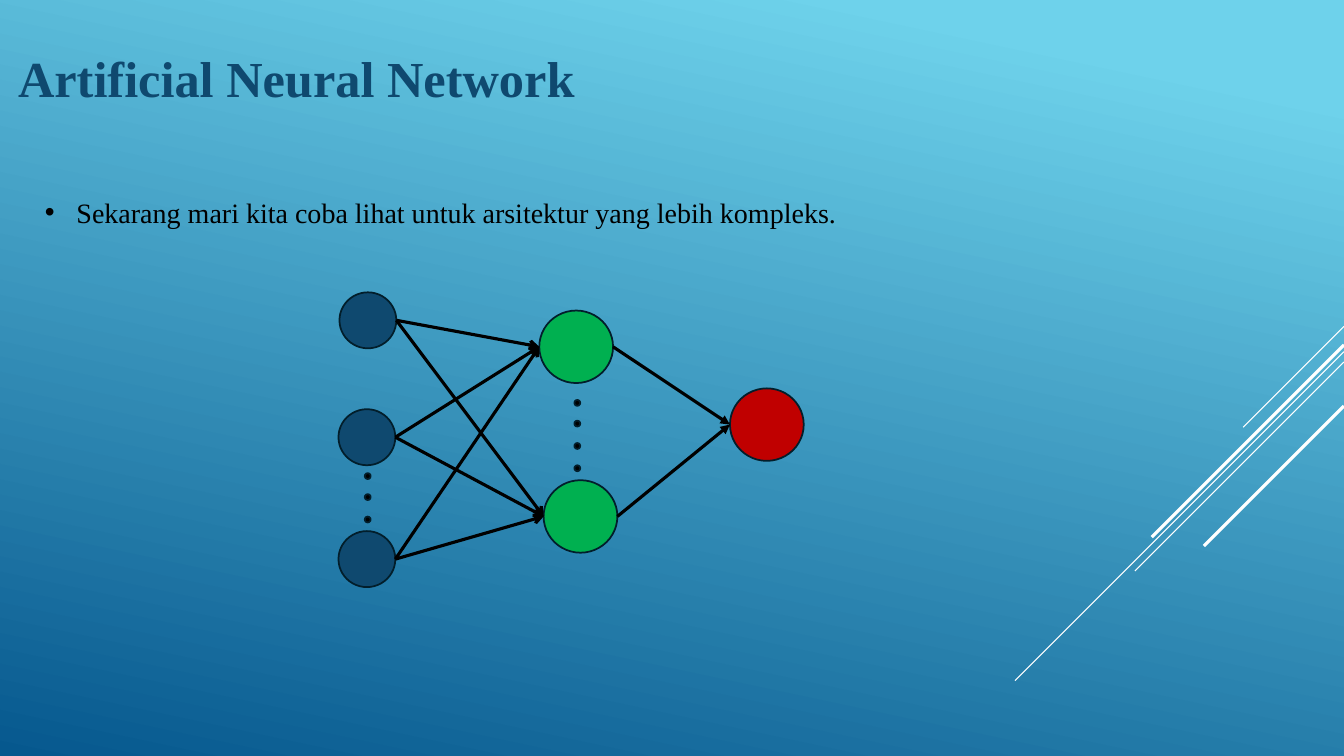
from dataclasses import dataclass

from lxml import etree
from pptx import Presentation
from pptx import util as u
from pptx.dml.color import RGBColor
from pptx.enum import shapes, text
from pptx.oxml import ns

Pt = u.Pt


@dataclass(frozen=True)
class Theme:
    font: str = "Times New Roman"
    title: int = 36
    body: int = 20
    sky: str = "6ED2EB"
    sea: str = "06588E"
    navy: str = "0F496F"
    green: str = "00B050"
    red: str = "C00000"
    edge: str = "021E2B"
    black: str = "000000"
    white: str = "FFFFFF"
    thin: float = 0.75
    rim: float = 1.25
    bold: float = 2.25


THEME = Theme()


def color(code):
    return RGBColor.from_string(code)


def add_tag(parent, name, **attrs):
    return etree.SubElement(parent, ns.qn(name), attrs)


def paint_back(slide):
    fill = slide.background.fill
    fill.gradient()
    fill.gradient_angle = 258
    for stop, place, code in zip(fill.gradient_stops, (0.1, 1), (THEME.sky, THEME.sea)):
        stop.position = place
        stop.color.rgb = color(code)


def add_line(slide, start, end, code, width, head=None):
    line = slide.shapes.add_connector(
        shapes.MSO_CONNECTOR.STRAIGHT, *(Pt(n) for n in (*start, *end)))
    line.line.color.rgb = color(code)
    line.line.width = Pt(width)
    if head:
        add_tag(line.line._get_or_add_ln(), "a:tailEnd", type=head)
    add_tag(line._element.spPr, "a:effectLst")


def add_disc(slide, left, top, width, height, code):
    disc = slide.shapes.add_shape(
        shapes.MSO_SHAPE.FLOWCHART_CONNECTOR, *(Pt(n) for n in (left, top, width, height)))
    disc.shadow.inherit = False
    disc.fill.solid()
    disc.fill.fore_color.rgb = color(code)
    disc.line.color.rgb = color(THEME.edge)
    disc.line.width = Pt(THEME.rim)
    return disc


def add_text(slide, box, words, size, code, bold=False, bullet=False):
    frame = slide.shapes.add_textbox(*(Pt(n) for n in box)).text_frame
    frame.word_wrap = True
    frame.vertical_anchor = text.MSO_ANCHOR.TOP if bullet else text.MSO_ANCHOR.MIDDLE
    para = frame.paragraphs[0]
    para.text = words
    if bullet:
        props = para._p.get_or_add_pPr()
        props.set("marL", str(Pt(22.5)))
        props.set("indent", str(Pt(-22.5)))
        add_tag(props, "a:buFont", typeface="Arial")
        add_tag(props, "a:buChar", char="•")
    font = para.runs[0].font
    font.name = THEME.font
    font.size = Pt(size)
    font.bold = bold
    font.color.rgb = color(code)


def add_layer(slide, spots, width, height, code):
    return [add_disc(slide, left, top, width, height, code) for left, top in spots]


def link_layers(slide, first, second, head):
    for a in first:
        for b in second:
            start = (a.left + a.width) / Pt(1), (a.top + a.height / 2) / Pt(1)
            end = b.left / Pt(1), (b.top + b.height / 2) / Pt(1)
            add_line(slide, start, end, THEME.black, THEME.bold, head)


def add_rays(slide):
    rays = [(233.2, 72, THEME.thin), (251.2, 235, THEME.thin), (258.6, 149.3, THEME.thin),
            (246.4, 137.3, THEME.bold), (290, 100, THEME.bold)]
    for top, reach, width in rays:
        add_line(slide, (960, top), (960 - reach, top + reach), THEME.white, width)


def add_net(slide):
    inputs = add_layer(
        slide, [(242.5, 208.8), (241.8, 292.3), (241.8, 379.4)], 40.6, 40, THEME.navy)
    hidden = add_layer(slide, [(385.2, 221.8), (388.3, 343)], 52.7, 51.8, THEME.green)
    output = add_layer(slide, [(521.4, 277.4)], 52.7, 51.8, THEME.red)
    link_layers(slide, inputs, hidden, "arrow")
    link_layers(slide, hidden, output, "triangle")
    for left, tops in ((260.6, (338, 353, 369)), (410.3, (285.7, 300.5, 316.5, 332.4))):
        add_layer(slide, [(left, top) for top in tops], 4.2, 4.2, THEME.black)


def main():
    deck = Presentation()
    deck.slide_width, deck.slide_height = Pt(960), Pt(540)
    slide = deck.slides.add_slide(deck.slide_layouts[6])
    paint_back(slide)
    add_rays(slide)
    add_text(slide, (5.8, 16, 828, 78.5), "Artificial Neural Network",
             THEME.title, THEME.navy, bold=True)
    add_text(slide, (25, 136, 633, 31.5),
             "Sekarang mari kita coba lihat untuk arsitektur yang lebih kompleks.",
             THEME.body, THEME.black, bullet=True)
    add_net(slide)
    deck.save("out.pptx")


if __name__ == "__main__":
    main()
